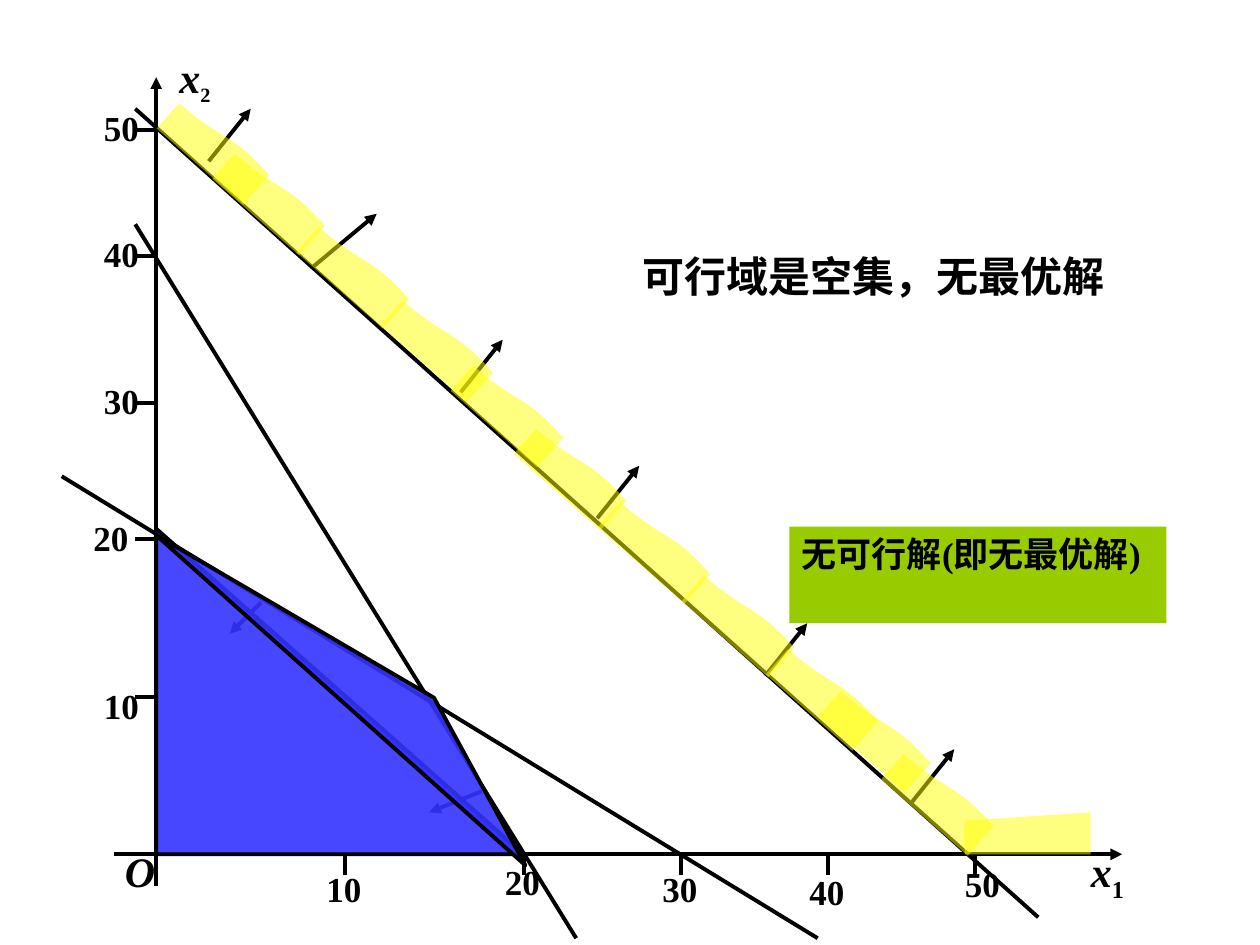
import lxml.etree
import pptx
import pptx.dml.color
import pptx.enum.shapes
import pptx.enum.text
import pptx.oxml.ns
import pptx.util

SHAPE = pptx.enum.shapes.MSO_SHAPE
ALIGN = pptx.enum.text.PP_ALIGN
COLORS = {"ink": "000000", "region": "3333FF", "band": "FFFF00", "note": "99CC00"}
LATIN = "Times New Roman"

# Grid of 1/12 inch cells, slightly offset from the slide's corner
CELL = 1 / 12
OFFSET_X, OFFSET_Y = -0.01, 0.03
ORIGIN = (15, 81)

X_TICKS = [("10", 33, 81.7), ("20", 50, 81), ("30", 65, 81.7),
           ("40", 79, 82), ("50", 93.8, 81.2)]
Y_TICKS = [("10", 66, 8.8, 64.2), ("20", 51, 7.8, 48.2), ("30", 38, 8.8, 35.2),
           ("40", 24, 8.8, 21.2), ("50", 12, 8.8, 9.2)]
CONSTRAINTS = [((13, 21), (55, 89)), ((6, 45), (78, 89))]
LOWER_BOUND = ((13, 10), (99, 87))
INWARD_ARROWS = [((46, 75), (41, 77)), ((25, 57), (22, 60))]
# Start point and column run; every outward arrow rises five rows
OUTWARD_ARROWS = [(20, 15, 4), (30, 25, 6), (44, 37, 4), (57, 49, 4),
                  (73, 64, 4), (87, 76, 4)]
BANDS = [(20.3, 16.8), (28.3, 23.8), (36.3, 30.8), (43, 37), (15, 12), (49, 43),
         (57, 50), (65, 57), (73, 64), (84, 74), (78, 68)]


def column(value):
    return pptx.util.Inches(value * CELL + OFFSET_X)


def row(value):
    return pptx.util.Inches(value * CELL + OFFSET_Y)


def span(cells):
    return pptx.util.Inches(cells * CELL)


def color(name):
    return pptx.dml.color.RGBColor.from_string(COLORS[name])


def add_child(parent, tag, **attributes):
    return lxml.etree.SubElement(parent, pptx.oxml.ns.qn(tag), attributes)


def set_ink_line(line):
    line.color.rgb = color("ink")
    line.width = pptx.util.Pt(2.25)


def add_line(shapes, start, end, arrow=False):
    connector = shapes.add_connector(
        pptx.enum.shapes.MSO_CONNECTOR.STRAIGHT,
        column(start[0]), row(start[1]), column(end[0]), row(end[1]))
    set_ink_line(connector.line)
    properties = connector._element.spPr
    if arrow:
        add_child(properties.find(pptx.oxml.ns.qn("a:ln")), "a:tailEnd", type="triangle")
    add_child(properties, "a:effectLst")


def add_area(shapes, kind, left, top, width, height, fill, opacity=100, outlined=False):
    area = shapes.add_shape(kind, column(left), row(top), span(width), span(height))
    area.shadow.inherit = False
    area.fill.solid()
    area.fill.fore_color.rgb = color(fill)
    if opacity < 100:
        fill_color = area._element.spPr.find(".//" + pptx.oxml.ns.qn("a:srgbClr"))
        add_child(fill_color, "a:alpha", val=str(opacity * 1000))
    if outlined:
        set_ink_line(area.line)
    else:
        area.line.fill.background()
    return area


def format_run(run, size, font=LATIN, italic=None):
    run.font.size = pptx.util.Pt(size)
    run.font.name = font
    run.font.bold = True
    run.font.italic = italic
    run.font.color.rgb = color("ink")


def write(shape, text, size, font=LATIN):
    """Fill a left-aligned, top-anchored shape with wrapped bold text."""
    frame = shape.text_frame
    frame.text = text
    frame.word_wrap = True
    frame.auto_size = pptx.enum.text.MSO_AUTO_SIZE.SHAPE_TO_FIT_TEXT
    frame.vertical_anchor = pptx.enum.text.MSO_ANCHOR.TOP
    frame.paragraphs[0].alignment = ALIGN.LEFT
    format_run(frame.paragraphs[0].runs[0], size, font)


def add_label(shapes, text, left, top, width=5.76, height=5.3, size=20,
              italic=None, subscript="", subscript_size=24):
    box = shapes.add_textbox(column(left), row(top), span(width), span(height))
    frame = box.text_frame
    frame.text = text
    frame.word_wrap = False
    paragraph = frame.paragraphs[0]
    paragraph.alignment = ALIGN.CENTER
    format_run(paragraph.runs[0], size, italic=italic)
    if subscript:
        run = paragraph.add_run()
        run.text = subscript
        format_run(run, subscript_size)
        run.font._element.set("baseline", "-25000")


def add_axes(shapes):
    origin_column, origin_row = ORIGIN
    add_line(shapes, (11, origin_row), (107, origin_row), arrow=True)
    add_line(shapes, (origin_column, 84), (origin_column, 7), arrow=True)
    add_label(shapes, "x", 102.1, 79.6, 7, 6.7, 24, True, "1")
    add_label(shapes, "x", 15.2, 4, 7, 6.5, 24, True, "2", 20)
    add_label(shapes, "O", 10.8, 79.6, 5.3, 6, 24, True)
    for text, tick, label_row in X_TICKS:
        whole = int(tick)
        add_line(shapes, (whole, origin_row), (whole, origin_row + 2))
        add_label(shapes, text, tick - 3, label_row)
    for text, tick, label_column, label_row in Y_TICKS:
        add_line(shapes, (origin_column, tick), (origin_column - 2, tick))
        add_label(shapes, text, label_column, label_row)


def add_region(shapes):
    region = shapes.add_group_shape().shapes
    add_area(region, SHAPE.RIGHT_TRIANGLE, 15, 50, 35, 31, "region", 90, True)
    tip = add_area(region, SHAPE.ISOSCELES_TRIANGLE, 11, 61, 47.2, 6.1,
                   "region", 90, True)
    tip.adjustments[0] = 0.637
    tip.rotation = 41.8


def add_bands(shapes):
    bands = shapes.add_group_shape().shapes
    for left, top in BANDS:
        band = add_area(bands, SHAPE.FLOWCHART_DOCUMENT, left, top, 11, 4, "band", 50)
        band.rotation = 221.4
    add_area(bands, SHAPE.FLOWCHART_MANUAL_INPUT, 92, 77, 12, 4, "band", 50)


def add_title(slide, text):
    title = slide.shapes.title
    title.left, title.top = column(60.1), row(22.9)
    title.width, title.height = span(51), span(6)
    write(title, text, 24, "Arial")


def main():
    presentation = pptx.Presentation()
    presentation.slide_width = pptx.util.Inches(10)
    presentation.slide_height = pptx.util.Inches(7.5)
    slide = presentation.slides.add_slide(presentation.slide_layouts[5])
    shapes = slide.shapes

    add_title(slide, "可行域是空集，无最优解")
    add_axes(shapes)
    for start, end in CONSTRAINTS:
        add_line(shapes, start, end)
    for start, end in INWARD_ARROWS:
        add_line(shapes, start, end, arrow=True)
    for left, bottom, run in OUTWARD_ARROWS:
        add_line(shapes, (left, bottom), (left + run, bottom - 5), arrow=True)
    note = add_area(shapes, SHAPE.RECTANGLE, 75.3, 49.8, 35.9, 9.2, "note")
    write(note, "无可行解(即无最优解)", 20)
    add_region(shapes)
    add_line(shapes, *LOWER_BOUND)
    add_bands(shapes)
    presentation.save("out.pptx")


if __name__ == "__main__":
    main()
